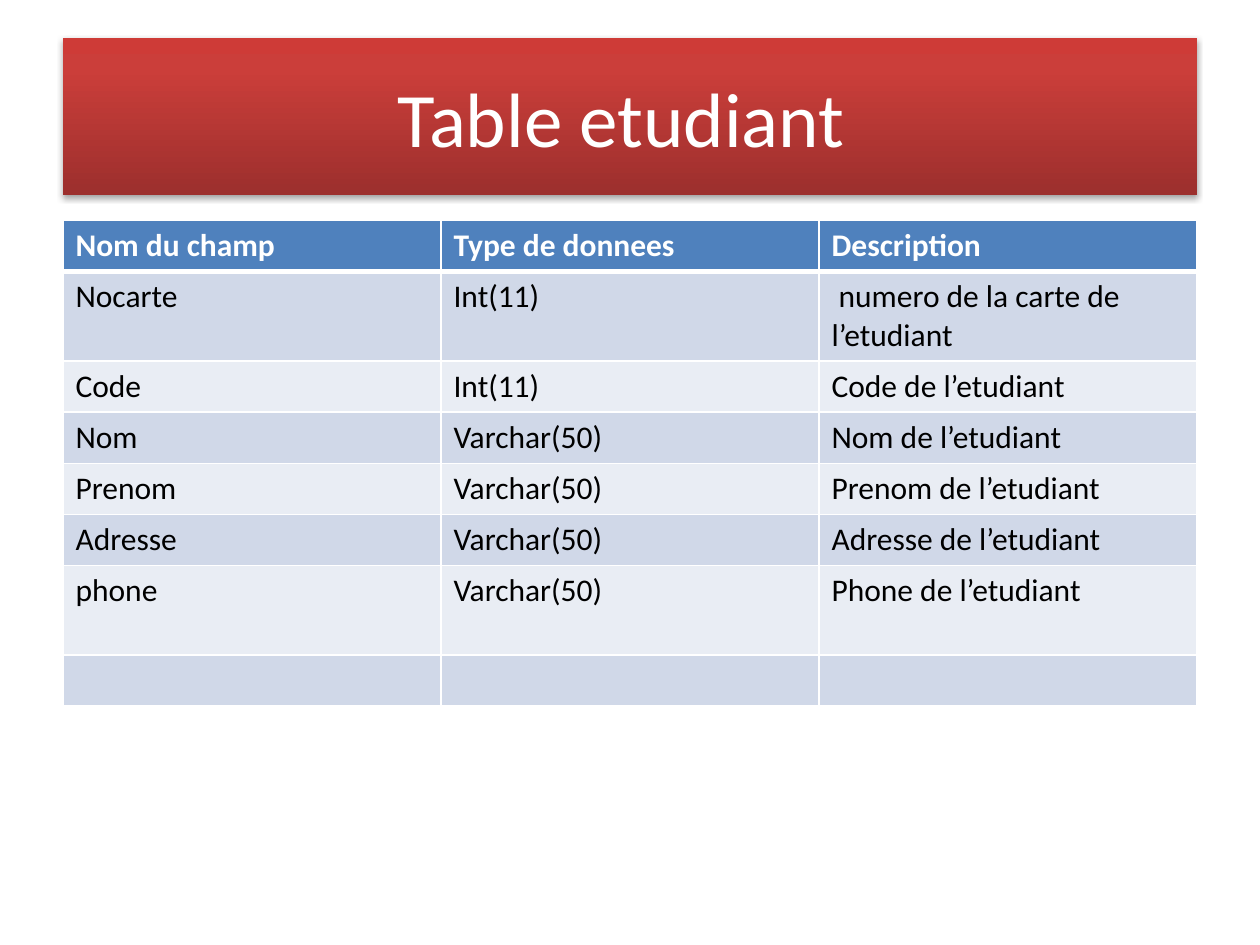
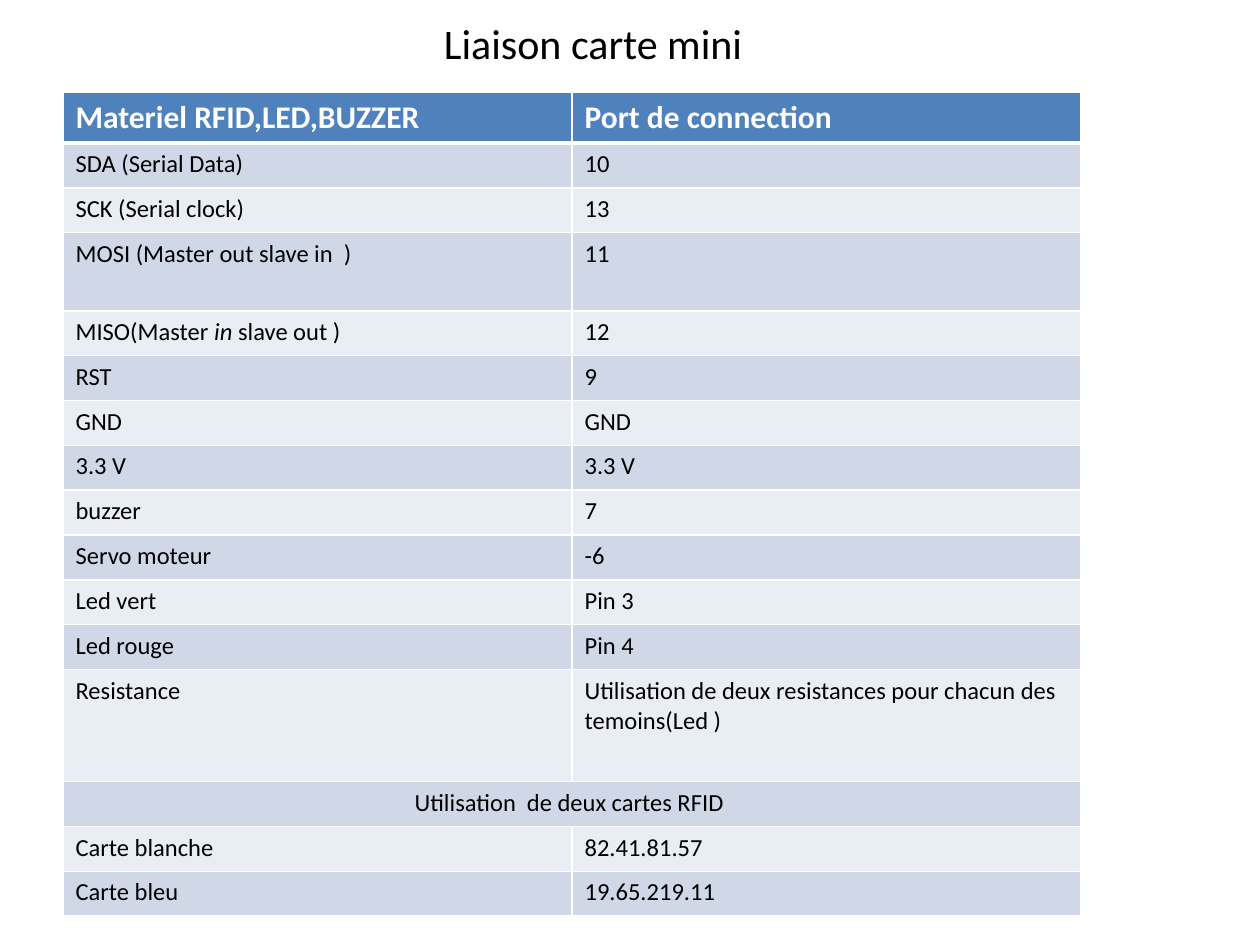
from dataclasses import dataclass, field
from typing import NamedTuple, Optional, Union

from lxml.etree import SubElement
from pptx import Presentation
from pptx.dml.color import RGBColor
from pptx.enum.text import MSO_ANCHOR, MSO_AUTO_SIZE, PP_ALIGN
from pptx.oxml import parse_xml
from pptx.oxml.ns import nsdecls, qn
from pptx.util import Inches, Pt


@dataclass(frozen=True)
class Theme:
    font: str = "Calibri"
    white: str = "FFFFFF"
    black: str = "000000"
    header_fill: str = "4F81BD"
    band_fills: tuple = ("D0D8E8", "E9EDF4")
    # (position in percent, colour), from the bottom of the band to the top
    title_gradient: tuple = ((0, "9C2F2D"), (80, "CB3E3A"), (100, "CE3B37"))
    banner_size: int = 44
    heading_size: int = 24
    table_size: int = 18
    small_table_size: int = 14
    border: int = 1
    header_border: int = 3


THEME = Theme()


class Box(NamedTuple):
    left: float
    top: float
    width: float
    height: float


class Run(NamedTuple):
    text: str
    italic: bool = False


CellText = Union[str, tuple[Run, ...]]


@dataclass(frozen=True)
class TitleSpec:
    text: str
    box: Box
    size: int
    color: str
    banner: bool = False


@dataclass(frozen=True)
class TableSpec:
    box: Box
    header: tuple[str, ...]
    rows: list[tuple[CellText, ...]]
    body_size: int
    # Heights of the rows that differ; the rest share what remains equally
    special_heights: dict[int, float] = field(default_factory=dict)
    merged_row: Optional[int] = None


ETUDIANT_TITLE = TitleSpec("Table etudiant ", Box(0.5, 0.3, 9, 1.25),
                           THEME.banner_size, THEME.white, banner=True)
ETUDIANT_TABLE = TableSpec(
    box=Box(0.5, 1.75, 9, 3.83),
    header=("Nom du champ", "Type de donnees", "Description"),
    rows=[
        ("Nocarte", "Int(11)", " numero de la carte de l’etudiant"),
        ("Code", "Int(11)", "Code de l’etudiant"),
        ("Nom", "Varchar(50)", "Nom de l’etudiant"),
        ("Prenom", "Varchar(50)", "Prenom de l’etudiant"),
        ("Adresse", "Varchar(50)", "Adresse de l’etudiant"),
        ("phone", "Varchar(50)", "Phone de l’etudiant"),
        ("", "", ""),
    ],
    body_size=THEME.table_size,
    special_heights={1: 0.71, 6: 0.71},
)

LIAISON_TITLE = TitleSpec("Liaison carte mini ", Box(0.33, 0, 8.83, 0.67),
                          THEME.heading_size, THEME.black)
LIAISON_TABLE = TableSpec(
    box=Box(0.5, 0.73, 8.08, 6.53),
    header=("Materiel RFID,LED,BUZZER", "Port de connection"),
    rows=[
        ("SDA (Serial Data)", "10"),
        ("SCK (Serial clock)", "13"),
        ("MOSI (Master out slave in  )", "11"),
        ((Run("MISO(Master "), Run("in ", italic=True), Run("slave out )")), "12"),
        ("RST", "9"),
        ("GND", "GND"),
        ("3.3 V", "3.3 V"),
        ("buzzer", "7"),
        ("Servo moteur", "-6"),
        ("Led vert", "Pin 3"),
        ("Led rouge", "Pin 4"),
        ("Resistance", "Utilisation de deux resistances pour chacun des temoins(Led )"),
        ("Utilisation  de deux cartes RFID ", ""),
        ("Carte blanche", "82.41.81.57"),
        ("Carte bleu", "19.65.219.11"),
    ],
    body_size=THEME.small_table_size,
    special_heights={0: 0.39, 3: 0.62, 12: 0.89},
    merged_row=13,
)


def write_text(paragraph, text: CellText, *, size: int, color: str,
               bold: bool = False, align: PP_ALIGN = PP_ALIGN.LEFT) -> None:
    paragraph.alignment = align
    runs = (Run(text),) if isinstance(text, str) else text
    for part in runs:
        run = paragraph.add_run()
        run.text = part.text
        run.font.name = THEME.font
        run.font.size = Pt(size)
        run.font.bold = bold
        run.font.italic = part.italic
        run.font.color.rgb = RGBColor.from_string(color)


def style_banner(shape) -> None:
    """Give the shape the red vertical gradient and its soft shadow."""
    stops = "".join(
        f'<a:gs pos="{position * 1000}"><a:srgbClr val="{color}"/></a:gs>'
        for position, color in THEME.title_gradient)
    gradient = (f'<a:gradFill {nsdecls("a")} rotWithShape="1"><a:gsLst>{stops}</a:gsLst>'
                '<a:lin ang="16200000" scaled="0"/></a:gradFill>')
    shadow = (f'<a:effectLst {nsdecls("a")}>'
              f'<a:outerShdw blurRad="{Pt(3.1)}" dist="{Pt(1.8)}" dir="5400000" rotWithShape="0">'
              f'<a:srgbClr val="{THEME.black}"><a:alpha val="35000"/></a:srgbClr>'
              '</a:outerShdw></a:effectLst>')
    for xml in (gradient, shadow):
        shape.element.spPr.append(parse_xml(xml))


def add_title(slide, spec: TitleSpec) -> None:
    shape = slide.shapes.title
    shape.left, shape.top, shape.width, shape.height = map(Inches, spec.box)
    if spec.banner:
        style_banner(shape)
    frame = shape.text_frame
    frame.word_wrap = True
    frame.auto_size = MSO_AUTO_SIZE.NONE
    frame.vertical_anchor = MSO_ANCHOR.MIDDLE
    write_text(frame.paragraphs[0], spec.text, size=spec.size, color=spec.color,
               align=PP_ALIGN.CENTER)


def add_borders(cell, top: int, bottom: int) -> None:
    properties = cell._tc.get_or_add_tcPr()
    widths = {"L": THEME.border, "R": THEME.border, "T": top, "B": bottom}
    for side, width in widths.items():
        line = SubElement(properties, qn(f"a:ln{side}"), w=str(Pt(width)))
        fill = SubElement(line, qn("a:solidFill"))
        SubElement(fill, qn("a:srgbClr"), val=THEME.white)


def format_cell(cell, text: CellText, row: int, spec: TableSpec) -> None:
    is_header = row == 0
    add_borders(cell,
                top=THEME.header_border if row == 1 else THEME.border,
                bottom=THEME.header_border if is_header else THEME.border)
    fill = THEME.header_fill if is_header else THEME.band_fills[(row - 1) % 2]
    cell.fill.solid()
    cell.fill.fore_color.rgb = RGBColor.from_string(fill)
    if text:
        write_text(cell.text_frame.paragraphs[0], text,
                   size=THEME.table_size if is_header else spec.body_size,
                   color=THEME.white if is_header else THEME.black,
                   bold=is_header,
                   align=PP_ALIGN.CENTER if row == spec.merged_row else PP_ALIGN.LEFT)


def add_data_table(slide, spec: TableSpec) -> None:
    contents = [spec.header, *spec.rows]
    column_count = len(spec.header)
    table = slide.shapes.add_table(len(contents), column_count,
                                   *map(Inches, spec.box)).table
    for column in table.columns:
        column.width = Inches(spec.box.width / column_count)

    special = spec.special_heights
    regular = (spec.box.height - sum(special.values())) / (len(contents) - len(special))
    for row, texts in enumerate(contents):
        table.rows[row].height = Inches(special.get(row, regular))
        for column, text in enumerate(texts):
            format_cell(table.cell(row, column), text, row, spec)

    if spec.merged_row is not None:
        table.cell(spec.merged_row, 0).merge(table.cell(spec.merged_row, column_count - 1))


def main() -> None:
    presentation = Presentation()
    presentation.slide_width, presentation.slide_height = Inches(10), Inches(7.5)
    title_only = presentation.slide_layouts.get_by_name("Title Only")
    for title, table in ((ETUDIANT_TITLE, ETUDIANT_TABLE), (LIAISON_TITLE, LIAISON_TABLE)):
        slide = presentation.slides.add_slide(title_only)
        add_title(slide, title)
        add_data_table(slide, table)
    presentation.save("out.pptx")


if __name__ == "__main__":
    main()
